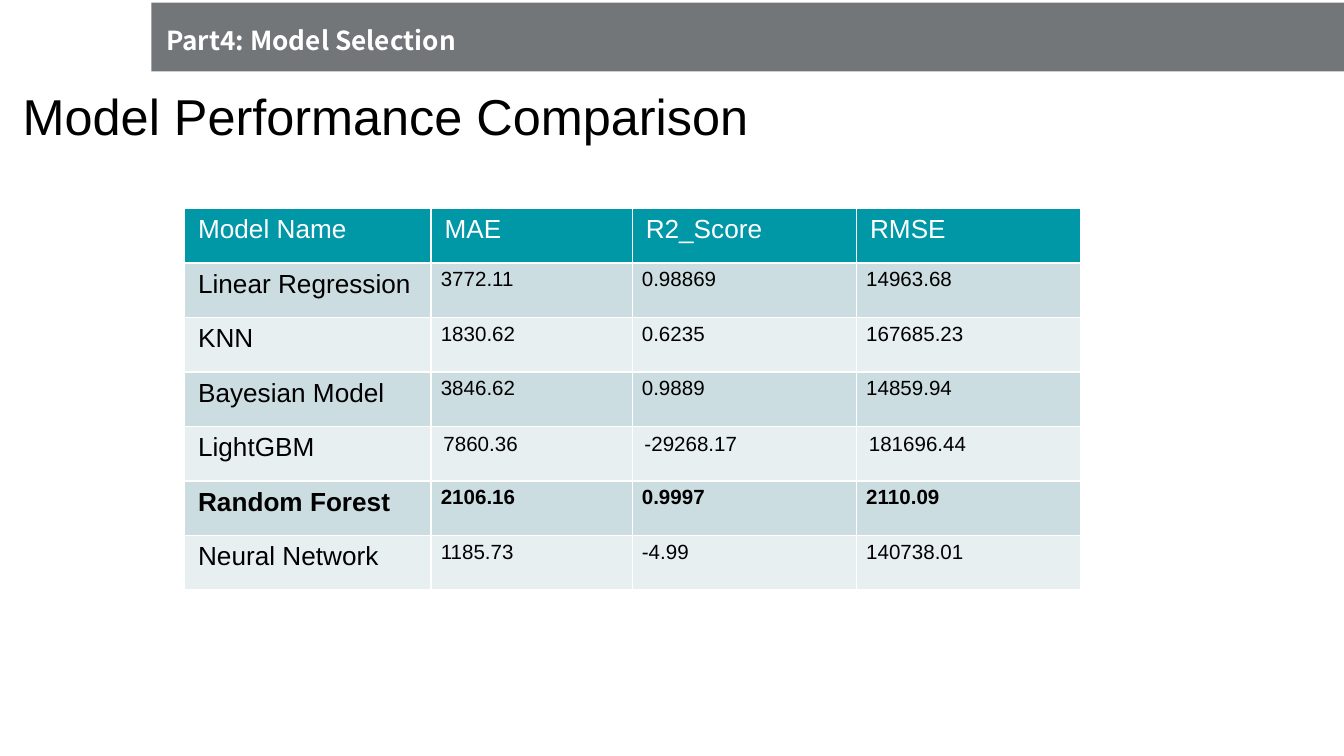
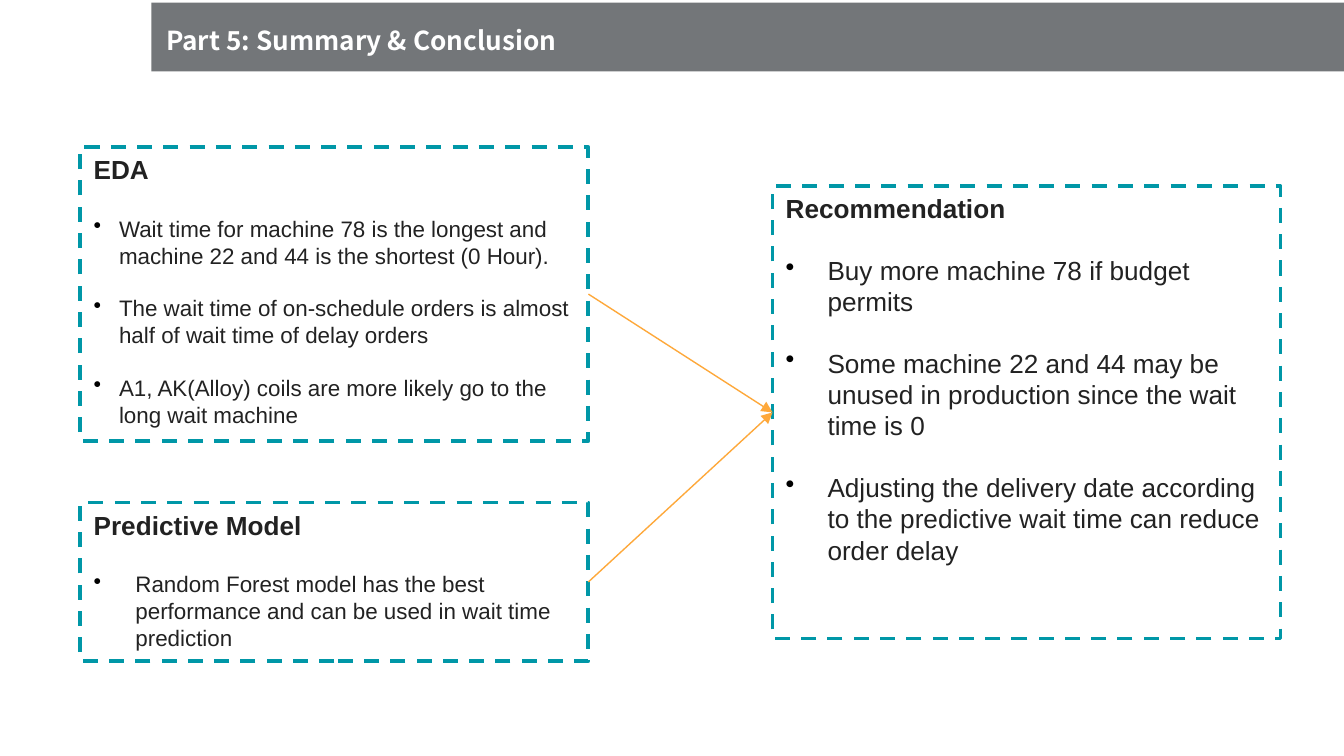
from lxml import etree
from pptx import Presentation
from pptx.dml.color import RGBColor
from pptx.enum.dml import MSO_LINE
from pptx.enum.shapes import MSO_CONNECTOR, MSO_SHAPE
from pptx.enum.text import MSO_ANCHOR, PP_ALIGN
from pptx.oxml.ns import qn
from pptx.util import Cm, Pt

RECT = MSO_SHAPE.RECTANGLE
STRAIGHT = MSO_CONNECTOR.STRAIGHT
DASH = MSO_LINE.DASH
TOP = MSO_ANCHOR.TOP
LEFT = PP_ALIGN.LEFT

WHITE = RGBColor(0xFF, 0xFF, 0xFF)
BLACK = RGBColor(0, 0, 0)
SLATE = RGBColor(0x1E, 0x23, 0x27)
INK = RGBColor(0x22, 0x22, 0x22)
TEAL = RGBColor(0x00, 0x97, 0xA7)
TINT = RGBColor(0xCC, 0xDD, 0xE1)
PALE = RGBColor(0xE7, 0xEF, 0xF1)
AMBER = RGBColor(0xFE, 0xA8, 0x3A)

BODY = "Arial"
HEAD = "Noto Sans CJK SC"

BEST = "Random Forest"
LOOSE = "LightGBM"
SCORES = [
    ("Model Name", "MAE", "R2_Score", "RMSE"),
    ("Linear Regression", "3772.11", "0.98869", "14963.68"),
    ("KNN", "1830.62", "0.6235", "167685.23"),
    ("Bayesian Model", "3846.62", "0.9889", "14859.94"),
    (LOOSE, "7860.36", "-29268.17", "181696.44"),
    (BEST, "2106.16", "0.9997", "2110.09"),
    ("Neural Network", "1185.73", "-4.99", "140738.01"),
]
WIDTHS = [4.66, 3.8, 4.24, 4.24]

EDA = [
    "Wait time for machine 78 is the longest and machine 22 and 44 is the shortest (0 Hour).",
    "The wait time of on-schedule orders is almost half of wait time of delay orders",
    "A1, AK(Alloy) coils are more likely go to the long wait machine",
]
MODEL = [
    "Random Forest model has the best performance and can be used in wait time prediction",
]
ADVICE = [
    "Buy more machine 78 if budget permits",
    "Some machine 22 and 44 may be unused in production since the wait time is 0",
    "Adjusting the delivery date according to the predictive wait time can reduce order delay",
]


def add_node(parent, tag, **attrs):
    return etree.SubElement(parent, qn(tag), attrs)


def add_color(parent, color):
    fill = add_node(parent, "a:solidFill")
    return add_node(fill, "a:srgbClr", val=str(color))


def write(frame, text, size=14, color=BLACK, bold=False, font=BODY,
          hang=None, before=None, spacing=None):
    para = frame.add_paragraph() if frame.text else frame.paragraphs[0]
    para.alignment = LEFT
    if hang:
        props = para._p.get_or_add_pPr()
        props.set("marL", str(Cm(hang)))
        props.set("indent", str(-Cm(hang)))
        tone = add_node(props, "a:buClr")
        add_node(tone, "a:srgbClr", val=str(BLACK))
        add_node(props, "a:buChar", char="•")
    if before:
        para.space_before = Pt(before)
    if spacing:
        para.line_spacing = spacing
    run = para.add_run()
    run.text = text
    run.font.name = font
    run.font.size = Pt(size)
    run.font.bold = bold
    run.font.color.rgb = color


def add_rect(slide, left, top, width, height, fill):
    shape = slide.shapes.add_shape(RECT, Cm(left), Cm(top), Cm(width), Cm(height))
    shape.shadow.inherit = False
    shape.fill.solid()
    shape.fill.fore_color.rgb = fill
    shape.line.fill.background()
    return shape


def add_label(slide, text, left, top, width, height, inset=None, **style):
    box = slide.shapes.add_textbox(Cm(left), Cm(top), Cm(width), Cm(height))
    frame = box.text_frame
    frame.word_wrap = True
    if inset:
        frame.margin_left = frame.margin_right = Cm(inset)
        frame.margin_top = frame.margin_bottom = Cm(inset)
    write(frame, text, **style)


def add_page(deck, part):
    slide = deck.slides.add_slide(deck.slide_layouts[6])
    band = add_rect(slide, 2.86, 0.05, 22.54, 1.3, SLATE)
    tone = band.fill._xPr.find(qn("a:solidFill")).find(qn("a:srgbClr"))
    add_node(tone, "a:alpha", val="62000")
    add_label(slide, part, 2.89, 0.27, 20, 0.87,
              color=WHITE, bold=True, font=HEAD, spacing=1.1)
    return slide


def fill_cell(cell, text, fill, inset=None, **style):
    props = cell._tc.get_or_add_tcPr()
    for side in "LRTB":
        edge = add_node(props, f"a:ln{side}", w=str(Pt(1)))
        add_color(edge, WHITE)
    cell.fill.solid()
    cell.fill.fore_color.rgb = fill
    if inset:
        cell.margin_left = cell.margin_right = Cm(inset[0])
        cell.margin_top = cell.margin_bottom = Cm(inset[1])
    write(cell.text_frame, text, **style)


def add_scores(slide, left, top, height):
    grid = slide.shapes.add_table(
        len(SCORES), len(WIDTHS), Cm(left), Cm(top),
        Cm(sum(WIDTHS)), Cm(height * len(SCORES))).table
    grid.horz_banding = False
    for column, width in zip(grid.columns, WIDTHS):
        column.width = Cm(width)
    for r, row in enumerate(SCORES):
        grid.rows[r].height = Cm(height)
        tight = (0.23, 0.13) if row[0] == LOOSE else (0.18, 0.1)
        for c, text in enumerate(row):
            cell = grid.cell(r, c)
            if r == 0:
                fill_cell(cell, text, TEAL, color=WHITE)
            else:
                fill_cell(cell, text, TINT if r % 2 else PALE,
                          inset=tight if c else None,
                          size=11 if c else 14, bold=row[0] == BEST)


def add_card(slide, title, points, left, top, height, size=12, hang=0.79):
    card = add_rect(slide, left, top, 9.6, height, WHITE)
    card.line.color.rgb = TEAL
    card.line.width = Pt(2)
    card.line.dash_style = DASH
    frame = card.text_frame
    frame.word_wrap = True
    frame.vertical_anchor = TOP
    write(frame, title, color=INK, bold=True)
    for i, point in enumerate(points):
        gap = size if i else 14
        write(frame, point, size=size, color=INK, hang=hang, before=gap * 1.15)
    return card


def add_arrow(slide, start, end):
    arrow = slide.shapes.add_connector(STRAIGHT, 0, 0, 0, 0)
    arrow.begin_connect(start, 3)
    arrow.end_connect(end, 1)
    arrow.line.color.rgb = AMBER
    arrow.line.width = Pt(0.75)
    add_node(arrow.line._get_or_add_ln(), "a:tailEnd", type="triangle")
    add_node(arrow._element.spPr, "a:effectLst")


def main():
    deck = Presentation()
    deck.slide_width = Cm(25.4)
    deck.slide_height = Cm(14.29)

    slide = add_page(deck, "Part4: Model Selection")
    add_label(slide, "Model Performance Comparison", 0.18, 1.35, 22.7, 2.36,
              inset=0.25, size=27)
    add_scores(slide, 3.49, 3.94, 1.03)

    slide = add_page(deck, "Part 5: Summary & Conclusion")
    eda = add_card(slide, "EDA", EDA, 1.52, 2.78, 5.56, hang=0.48)
    model = add_card(slide, "Predictive Model", MODEL, 1.52, 9.5, 3)
    advice = add_card(slide, "Recommendation", ADVICE, 14.6, 3.52, 8.55, size=14)
    for card in (eda, model):
        add_arrow(slide, card, advice)

    deck.save("out.pptx")


if __name__ == "__main__":
    main()
